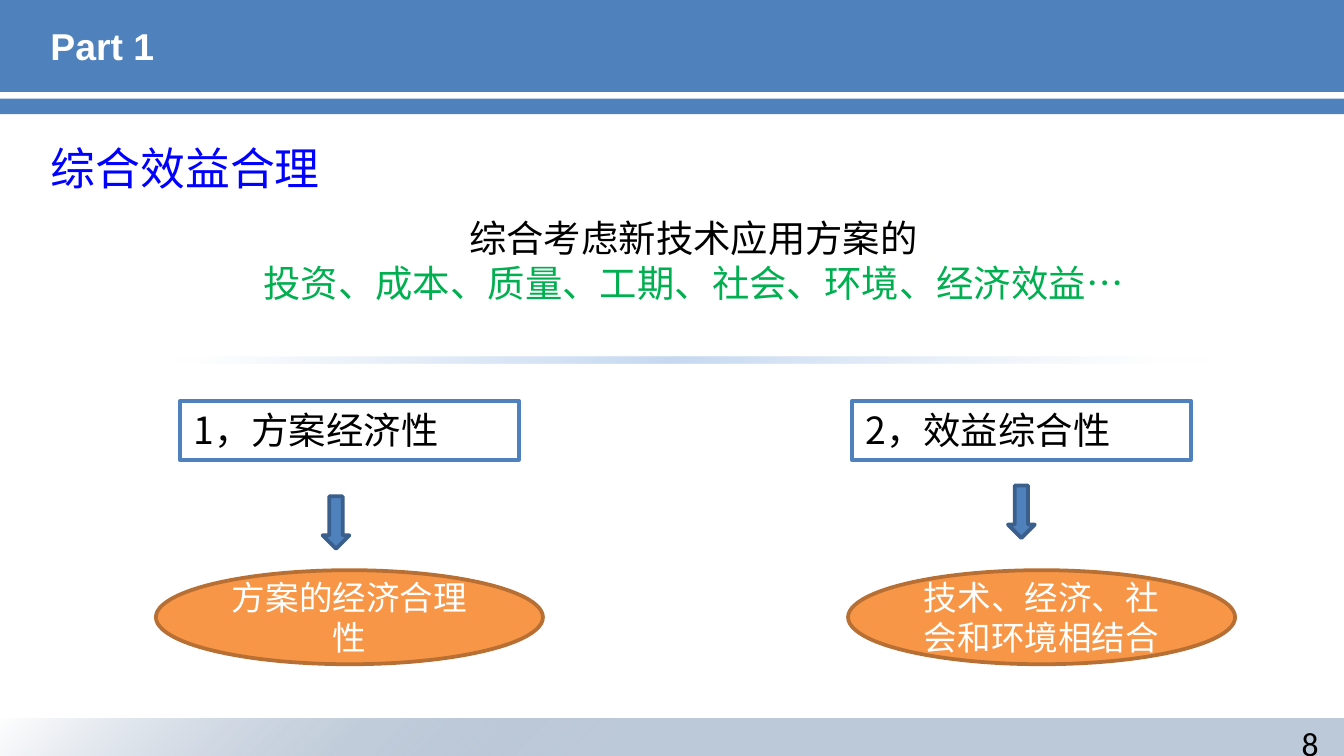
from pptx import Presentation
from pptx.dml.color import RGBColor
from pptx.enum.shapes import MSO_SHAPE
from pptx.enum.text import MSO_ANCHOR, MSO_AUTO_SIZE, PP_ALIGN
from pptx.oxml import parse_xml
from pptx.oxml.ns import nsdecls, qn
from pptx.util import Inches, Pt
from lxml.etree import SubElement

UNIT = Inches(0.1)
COLS, ROWS = 100, 56.25
SANS = "Noto Sans CJK SC"
WHITE = RGBColor(0xFF, 0xFF, 0xFF)
BLACK = RGBColor(0, 0, 0)
BLUE = RGBColor(0x4F, 0x81, 0xBD)
STEEL = RGBColor(0x3A, 0x5F, 0x8C)
NAVY = RGBColor(0x1F, 0x49, 0x7D)
PALE = RGBColor(0xC6, 0xD9, 0xF1)
LINK = RGBColor(0, 0, 0xFF)
GREEN = RGBColor(0, 0xB0, 0x50)
ORANGE = RGBColor(0xF7, 0x96, 0x46)
RUST = RGBColor(0xB7, 0x6F, 0x34)


def place(box, x, y, w, h):
    left, top = box[:2]
    return [round(v * UNIT) for v in (left + x, top + y, w, h)]


def write(frame, lines, size, font=SANS, align=PP_ALIGN.LEFT, bold=False):
    frame.word_wrap = True
    for i, (text, color) in enumerate(lines):
        para = frame.paragraphs[0] if i == 0 else frame.add_paragraph()
        para.alignment = align
        run = para.add_run()
        run.text = text
        run.font.size = Pt(size)
        run.font.name = font
        run.font.bold = bold
        run.font.color.rgb = color
        east = SubElement(run.font._element, qn("a:ea"))
        east.set("typeface", font)


def label(slide, spot, lines, size, **style):
    frame = slide.shapes.add_textbox(*spot).text_frame
    write(frame, lines, size, **style)


def block(slide, kind, spot, fill=None, edge=None):
    shape = slide.shapes.add_shape(kind, *spot)
    shape.shadow.inherit = False
    if fill is None:
        shape.fill.background()
    else:
        shape.fill.solid()
        shape.fill.fore_color.rgb = fill
    if edge is None:
        shape.line.fill.background()
    else:
        shape.line.color.rgb = edge
        shape.line.width = Pt(2)
    return shape


def fade(slide, spot, stops):
    shape = block(slide, MSO_SHAPE.RECTANGLE, spot)
    marks = "".join(
        f'<a:gs pos="{pos * 1000}"><a:srgbClr val="{color}">'
        f'<a:alpha val="{alpha * 1000}"/></a:srgbClr></a:gs>'
        for pos, color, alpha in stops
    )
    grad = parse_xml(
        f'<a:gradFill {nsdecls("a")} rotWithShape="1"><a:gsLst>{marks}</a:gsLst>'
        '<a:path path="circle"><a:fillToRect l="100000" t="100000"/></a:path>'
        "</a:gradFill>"
    )
    props = shape.element.spPr
    props.replace(props.find(qn("a:noFill")), grad)


def header(slide, box):
    wide = box[2]
    block(slide, MSO_SHAPE.RECTANGLE, place(box, 0, -0.1, wide, 6.94), BLUE)
    block(slide, MSO_SHAPE.RECTANGLE, place(box, -0.1, 7.34, wide + 0.1, 1.16), BLUE)
    title = slide.shapes.title
    title.left, title.top, title.width, title.height = place(box, 2.75, 0.2, 94.5, 6.4)
    frame = title.text_frame
    frame.auto_size = MSO_AUTO_SIZE.NONE
    frame.vertical_anchor = MSO_ANCHOR.MIDDLE
    write(frame, [("Part 1", WHITE)], 20, font="Arial", bold=True)
    tree = title.element.getparent()
    tree.append(title.element)


def footer(slide, box):
    fade(slide, place(box, 0, 0, box[2], box[3]), [(55, NAVY, 29), (100, WHITE, 69)])
    label(slide, place(box, 75.8, -0.23, 23.3, 3), [("8", BLACK)], 18,
          font="Calibri", align=PP_ALIGN.RIGHT)


def intro(slide, box):
    label(slide, place(box, 0, 0, 57.5, 5), [("综合效益合理", LINK)], 24)
    lines = [
        ("综合考虑新技术应用方案的", BLACK),
        ("投资、成本、质量、工期、社会、环境、经济效益…", GREEN),
    ]
    label(slide, place(box, 12.9, 5.5, 71.8, 7.7), lines, 20, align=PP_ALIGN.CENTER)
    fade(slide, place(box, 10.6, 16.55, 76.4, 0.5),
         [(5, WHITE, 69), (52, PALE, 100), (98, WHITE, 100)])


def column(slide, box, head, goal, arrow, oval):
    card = block(slide, MSO_SHAPE.RECTANGLE, place(box, 0, 0, box[2], 4.4), WHITE, BLUE)
    card.text_frame.vertical_anchor = MSO_ANCHOR.TOP
    write(card.text_frame, [(head, BLACK)], 20)
    block(slide, MSO_SHAPE.DOWN_ARROW, place(box, *arrow, 2, 3.9), BLUE, STEEL)
    disc = block(slide, MSO_SHAPE.OVAL, place(box, *oval, 28.8, 7), ORANGE, RUST)
    disc.text_frame.vertical_anchor = MSO_ANCHOR.MIDDLE
    write(disc.text_frame, [(goal, WHITE)], 18, align=PP_ALIGN.CENTER)


def main():
    deck = Presentation()
    deck.slide_width, deck.slide_height = round(COLS * UNIT), round(ROWS * UNIT)
    slide = deck.slides.add_slide(deck.slide_layouts[5])
    header(slide, (0, 0, COLS, 8.5))
    footer(slide, (0, 53.5, COLS, 2.75))
    intro(slide, (2.8, 10, 87, 17))
    column(slide, (13.4, 29.83, 25.2, 19.6), "1，方案经济性",
           "方案的经济合理性", (10.6, 7.1), (-1.8, 12.6))
    column(slide, (63.4, 29.83, 25.2, 19.6), "2，效益综合性",
           "技术、经济、社会和环境相结合", (11.6, 6.3), (-0.3, 12.6))
    deck.save("out.pptx")


if __name__ == "__main__":
    main()
